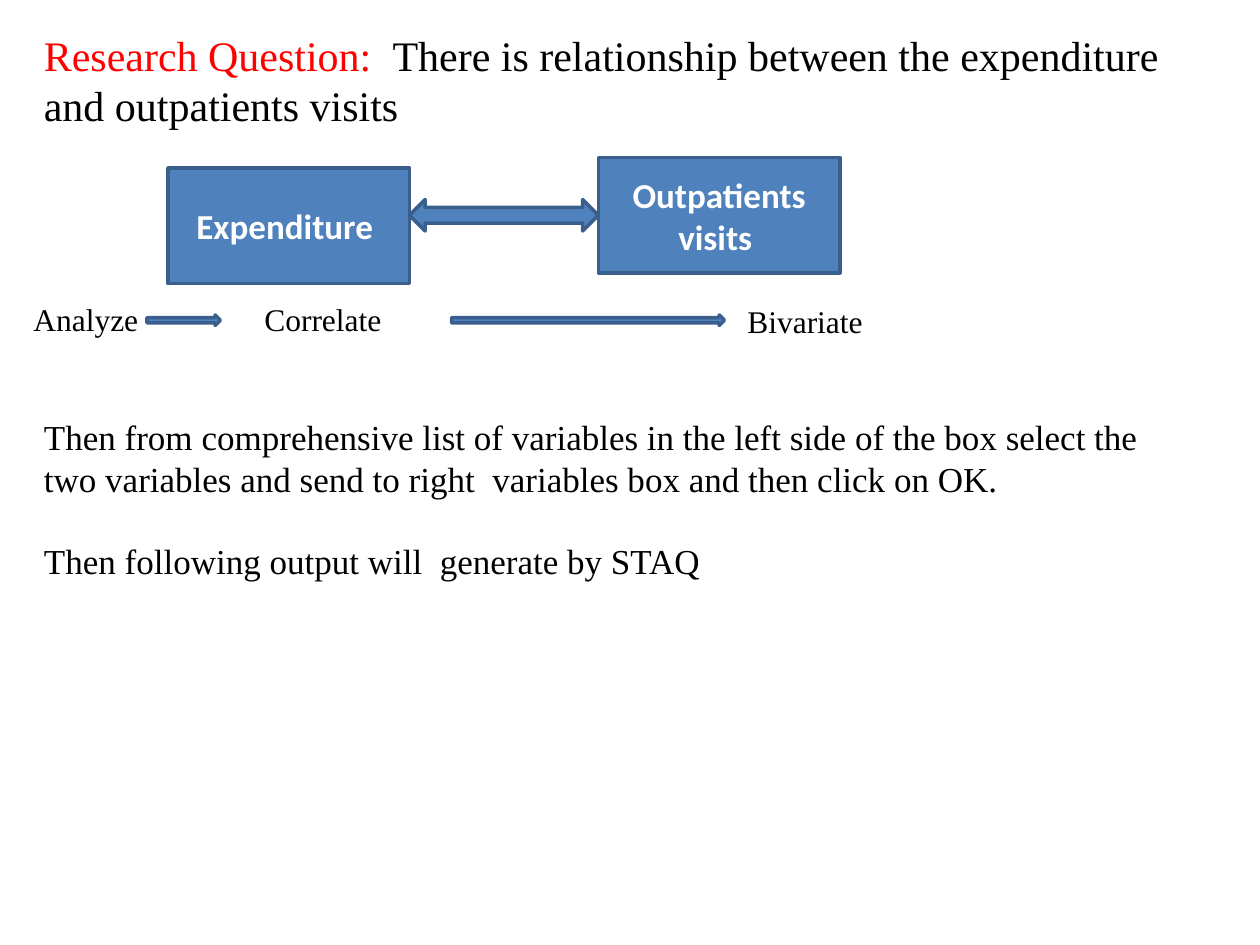
from dataclasses import dataclass
from typing import NamedTuple

from pptx import Presentation
from pptx.dml.color import RGBColor
from pptx.enum import shapes, text
from pptx.util import Inches, Pt


@dataclass(frozen=True)
class Theme:
    serif: str = "Times New Roman"
    sans: str = "Calibri"
    ink: str = "000000"
    accent: str = "FF0000"
    fill: str = "4F81BD"
    outline: str = "3A5F8C"
    light: str = "FFFFFF"
    heading: int = 24
    body: int = 20
    step: int = 18
    paragraph_gap: int = 23
    line: int = 2


class Box(NamedTuple):
    col: float
    row: float
    cols: float
    rows: float

    def inner(self, col, row, cols, rows):
        return Box(self.col + col, self.row + row, cols, rows)

    def lengths(self):
        return [round(part * CELL) for part in self]


THEME = Theme()
WIDTH, HEIGHT = Inches(10), Inches(7.5)
COLUMNS = 120
CELL = WIDTH / COLUMNS


def add_run(paragraph, words, size, color=THEME.ink, face=THEME.serif, bold=False):
    run = paragraph.add_run()
    run.text = words
    run.font.name = face
    run.font.size = Pt(size)
    run.font.bold = bold
    run.font.color.rgb = RGBColor.from_string(color)


def add_text_frame(slide, box):
    frame = slide.shapes.add_textbox(*box.lengths()).text_frame
    frame.word_wrap = True
    return frame


def add_figure(slide, kind, box):
    figure = slide.shapes.add_shape(kind, *box.lengths())
    figure.shadow.inherit = False
    figure.fill.solid()
    figure.fill.fore_color.rgb = RGBColor.from_string(THEME.fill)
    figure.line.color.rgb = RGBColor.from_string(THEME.outline)
    figure.line.width = Pt(THEME.line)
    return figure


def add_heading(slide, box):
    question = add_text_frame(slide, box).paragraphs[0]
    add_run(question, "Research Question:  ", THEME.heading, THEME.accent)
    add_run(
        question,
        "There is relationship between the expenditure and outpatients visits",
        THEME.heading,
    )


def add_variable(slide, box, label):
    frame = add_figure(slide, shapes.MSO_SHAPE.RECTANGLE, box).text_frame
    frame.word_wrap = True
    frame.vertical_anchor = text.MSO_ANCHOR.MIDDLE
    variable = frame.paragraphs[0]
    variable.alignment = text.PP_ALIGN.CENTER
    add_run(variable, label, THEME.body, THEME.light, THEME.sans, True)


def add_relationship(slide, box):
    side, height, link = 23, 11, 3
    gap = box.cols - 2 * side
    add_figure(
        slide,
        shapes.MSO_SHAPE.LEFT_RIGHT_ARROW,
        box.inner(side, 4, gap, link),
    )
    add_variable(slide, box.inner(0, 1, side, height), "Expenditure ")
    add_variable(slide, box.inner(side + gap, 0, side, height), "Outpatients visits ")


def add_menu_steps(slide, box):
    steps = (("Analyze", 0, 0, 21), ("Correlate", 22, 0, 37), ("Bivariate", 68, 0.2, 29))
    for label, col, row, cols in steps:
        step = add_text_frame(slide, box.inner(col, row, cols, box.rows)).paragraphs[0]
        add_run(step, label, THEME.step)
    for col, cols in ((12, 7), (41, 26)):
        add_figure(slide, shapes.MSO_SHAPE.RIGHT_ARROW, box.inner(col, 2, cols, 1))


def add_instructions(slide, box):
    frame = add_text_frame(slide, box)
    add_run(
        frame.paragraphs[0],
        "Then from comprehensive list of variables in the left side of the box "
        "select the two variables and send to right  variables box and then click on OK.",
        THEME.body,
    )
    outcome = frame.add_paragraph()
    outcome.space_before = Pt(THEME.paragraph_gap)
    add_run(outcome, "Then following output will  generate by STAQ", THEME.body)


def main():
    deck = Presentation()
    deck.slide_width, deck.slide_height = WIDTH, HEIGHT
    slide = deck.slides.add_slide(deck.slide_layouts[6])
    add_heading(slide, Box(3, 2.2, 114, 10.9))
    add_menu_steps(slide, Box(2, 28, 97, 4.8))
    add_instructions(slide, Box(3, 39, 111, 17.4))
    add_relationship(slide, Box(16, 15, 64, 12))
    deck.save("out.pptx")


if __name__ == "__main__":
    main()
